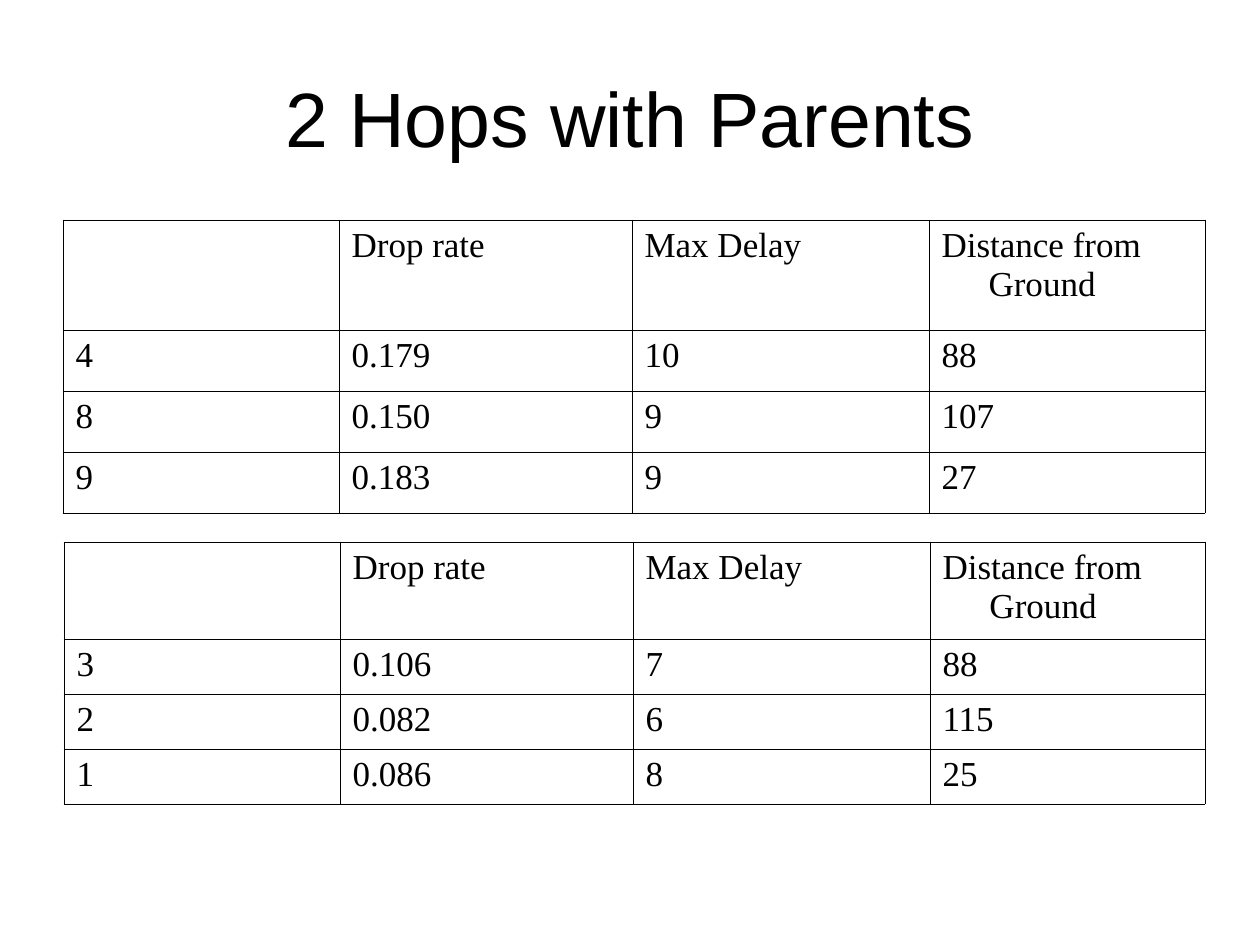
from lxml import etree
from pptx import Presentation
from pptx.dml.color import RGBColor
from pptx.enum.text import MSO_ANCHOR, PP_ALIGN
from pptx.oxml.ns import qn
from pptx.util import Pt

MIDDLE = MSO_ANCHOR.MIDDLE
CENTER = PP_ALIGN.CENTER
EMU_PER_PX = 914400 / 126
COLORS = {"text": "000000", "border": "000000"}
BORDER_WIDTH = 0.45
HANGING_INDENT = 47
HEADINGS = ["", "Drop rate", "Max Delay", "Distance from Ground"]
FAR_NODES = [
    ["4", "0.179", "10", "88"],
    ["8", "0.150", "9", "107"],
    ["9", "0.183", "9", "27"],
]
NEAR_NODES = [
    ["3", "0.106", "7", "88"],
    ["2", "0.082", "6", "115"],
    ["1", "0.086", "8", "25"],
]


def px(length):
    """Turn whole pixels into EMU."""
    return round(length * EMU_PER_PX)


def style_font(font, name, size):
    """Set the typeface, size and colour of a font."""
    font.name = name
    font.size = Pt(size)
    font.color.rgb = RGBColor.from_string(COLORS["text"])


def add_title(page, text):
    """Add the centred heading of the page."""
    box = page.shapes.add_textbox(px(63), px(38), px(1134), px(158))
    frame = box.text_frame
    frame.word_wrap = True
    frame.vertical_anchor = MIDDLE
    frame.text = text
    para = frame.paragraphs[0]
    para.alignment = CENTER
    style_font(para.runs[0].font, "Arial", 44)


def add_borders(cell):
    """Draw a thin line on each side of a cell."""
    properties = cell._tc.get_or_add_tcPr()
    for index, side in enumerate(("lnL", "lnR", "lnT", "lnB")):
        line = etree.Element(qn(f"a:{side}"), w=str(Pt(BORDER_WIDTH)))
        fill = etree.SubElement(line, qn("a:solidFill"))
        etree.SubElement(fill, qn("a:srgbClr"), val=COLORS["border"])
        properties.insert(index, line)


def fill_cell(cell, text):
    """Write a cell with a hanging indent and plain borders."""
    cell.fill.background()
    add_borders(cell)
    cell.text = text
    para = cell.text_frame.paragraphs[0]
    properties = para._p.get_or_add_pPr()
    properties.set("marL", str(px(HANGING_INDENT)))
    properties.set("indent", str(-px(HANGING_INDENT)))
    for span in para.runs:
        style_font(span.font, "Times New Roman", 20)


def add_results(page, left, top, widths, header_height, row_height, nodes):
    """Add a table of results with one row for each node."""
    rows = [HEADINGS] + nodes
    heights = [header_height] + [row_height] * len(nodes)
    table = page.shapes.add_table(
        len(rows), len(widths), px(left), px(top), px(sum(widths)), px(sum(heights))
    ).table
    table.first_row = False
    table.horz_banding = False
    for column, width in zip(table.columns, widths):
        column.width = px(width)
    for row, height, texts in zip(table.rows, heights, rows):
        row.height = px(height)
        for cell, text in zip(row.cells, texts):
            fill_cell(cell, text)


def main():
    """Build the slide and save it."""
    deck = Presentation()
    deck.slide_width, deck.slide_height = px(1260), px(945)
    page = deck.slides.add_slide(deck.slide_layouts[6])
    add_title(page, "2 Hops with Parents")
    add_results(page, 63, 220, [276, 293, 297, 276], 110, 61, FAR_NODES)
    add_results(page, 64, 542, [276, 293, 297, 275], 97, 55, NEAR_NODES)
    deck.save("out.pptx")


if __name__ == "__main__":
    main()
